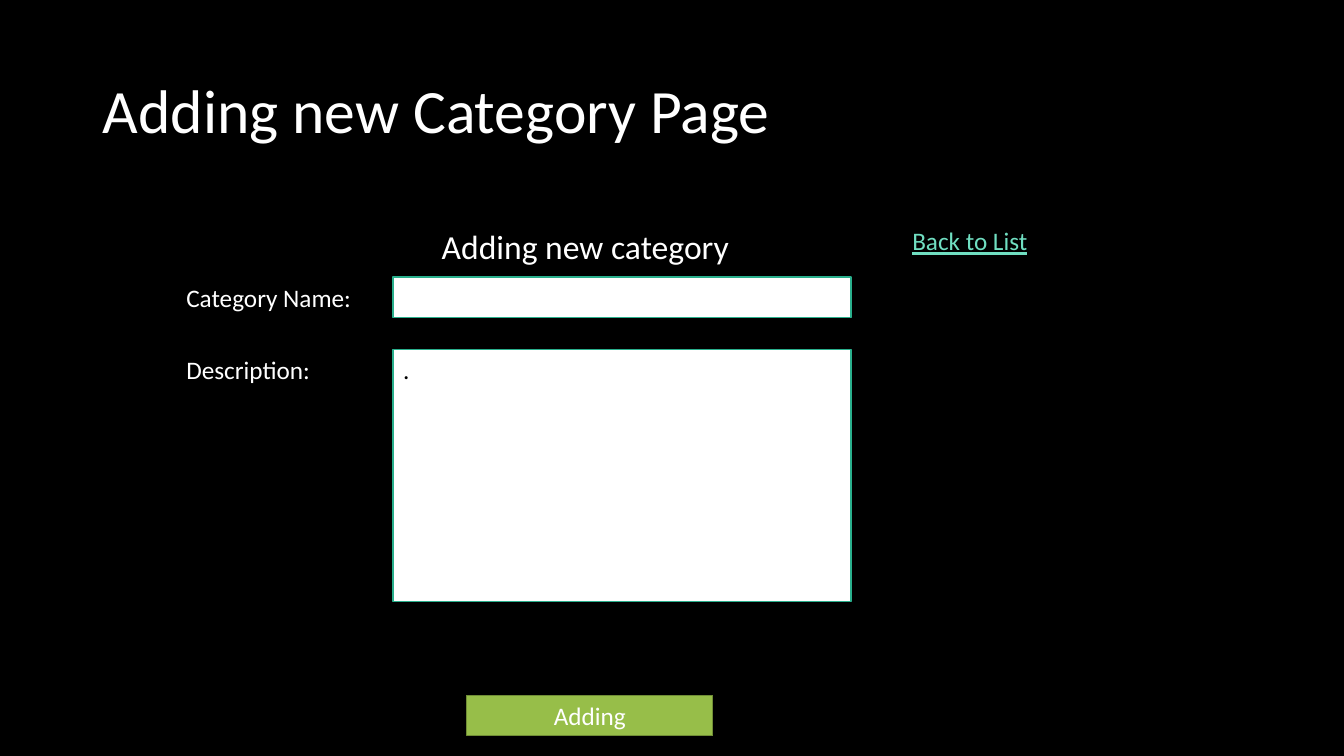
from dataclasses import dataclass
from typing import Optional

from pptx import Presentation
from pptx.dml.color import RGBColor
from pptx.enum.shapes import MSO_SHAPE as Preset
from pptx.enum.text import MSO_ANCHOR as Anchor, PP_ALIGN as Align
from pptx.util import Inches, Pt

FONT = "Calibri"
WHITE, BLACK = "FFFFFF", "000000"
TEAL, MINT = "29AF8C", "70DEC1"
GREEN, DARK_GREEN = "97BE49", "708D36"

LABEL_LEFT, LABEL_WIDTH = 1.75, 1.86
FIELD_LEFT, FIELD_WIDTH = 3.9, 4.54
HEADING_TOP, NAME_TOP, DESCRIPTION_TOP = 2.19, 2.75, 3.47
LINE_HEIGHT = 0.4


@dataclass
class Item:
    left: float
    top: float
    width: float
    height: float = LINE_HEIGHT
    text: str = ""
    size: int = 18
    color: str = WHITE
    align: Align = Align.LEFT
    underline: bool = False
    fill: Optional[str] = None
    line: Optional[str] = None


def rgb(color: str) -> RGBColor:
    return RGBColor.from_string(color)


def write(frame, item: Item) -> None:
    frame.word_wrap = True
    para = frame.paragraphs[0]
    para.alignment = item.align
    span = para.add_run()
    span.text = item.text
    span.font.name = FONT
    span.font.size = Pt(item.size)
    span.font.color.rgb = rgb(item.color)
    if item.underline:
        span.font.underline = True


def draw(page, item: Item) -> None:
    area = [Inches(n) for n in (item.left, item.top, item.width, item.height)]
    if item.fill:
        box = page.shapes.add_shape(Preset.RECTANGLE, *area)
        box.shadow.inherit = False
        box.fill.solid()
        box.fill.fore_color.rgb = rgb(item.fill)
        box.line.color.rgb = rgb(item.line)
        box.line.width = Pt(1)
    else:
        box = page.shapes.add_textbox(*area)
    box.text_frame.vertical_anchor = Anchor.TOP
    if item.text:
        write(box.text_frame, item)


def add_title(page, item: Item) -> None:
    title = page.shapes.title
    title.left, title.top = Inches(item.left), Inches(item.top)
    title.width, title.height = Inches(item.width), Inches(item.height)
    title.text_frame.vertical_anchor = Anchor.MIDDLE
    write(title.text_frame, item)
    title.text_frame.paragraphs[0].line_spacing = 0.9


TITLE = Item(0.92, 0.4, 11.5, 1.45, "Adding new Category Page", size=44)

ITEMS = [
    # Input fields
    Item(FIELD_LEFT, NAME_TOP, FIELD_WIDTH, fill=WHITE, line=TEAL),
    Item(FIELD_LEFT, DESCRIPTION_TOP, FIELD_WIDTH, 2.5, ".", color=BLACK,
         fill=WHITE, line=TEAL),
    # Field labels
    Item(LABEL_LEFT, NAME_TOP, LABEL_WIDTH, text="Category Name:"),
    Item(LABEL_LEFT, DESCRIPTION_TOP, LABEL_WIDTH, text="Description:"),
    # Submit button
    Item(4.63, 6.9, 2.44, text="Adding", align=Align.CENTER,
         fill=GREEN, line=DARK_GREEN),
    # Form heading and back link
    Item(2.28, HEADING_TOP, 7.05, 0.5, "Adding new category", size=24,
         align=Align.CENTER),
    Item(8.95, HEADING_TOP, 2.4, text="Back to List", color=MINT,
         underline=True),
]


def main() -> None:
    deck = Presentation()
    deck.slide_width, deck.slide_height = Inches(13.33), Inches(7.5)
    page = deck.slides.add_slide(deck.slide_layouts[5])
    page.background.fill.solid()
    page.background.fill.fore_color.rgb = rgb(BLACK)
    add_title(page, TITLE)
    for item in ITEMS:
        draw(page, item)
    deck.save("out.pptx")


if __name__ == "__main__":
    main()
